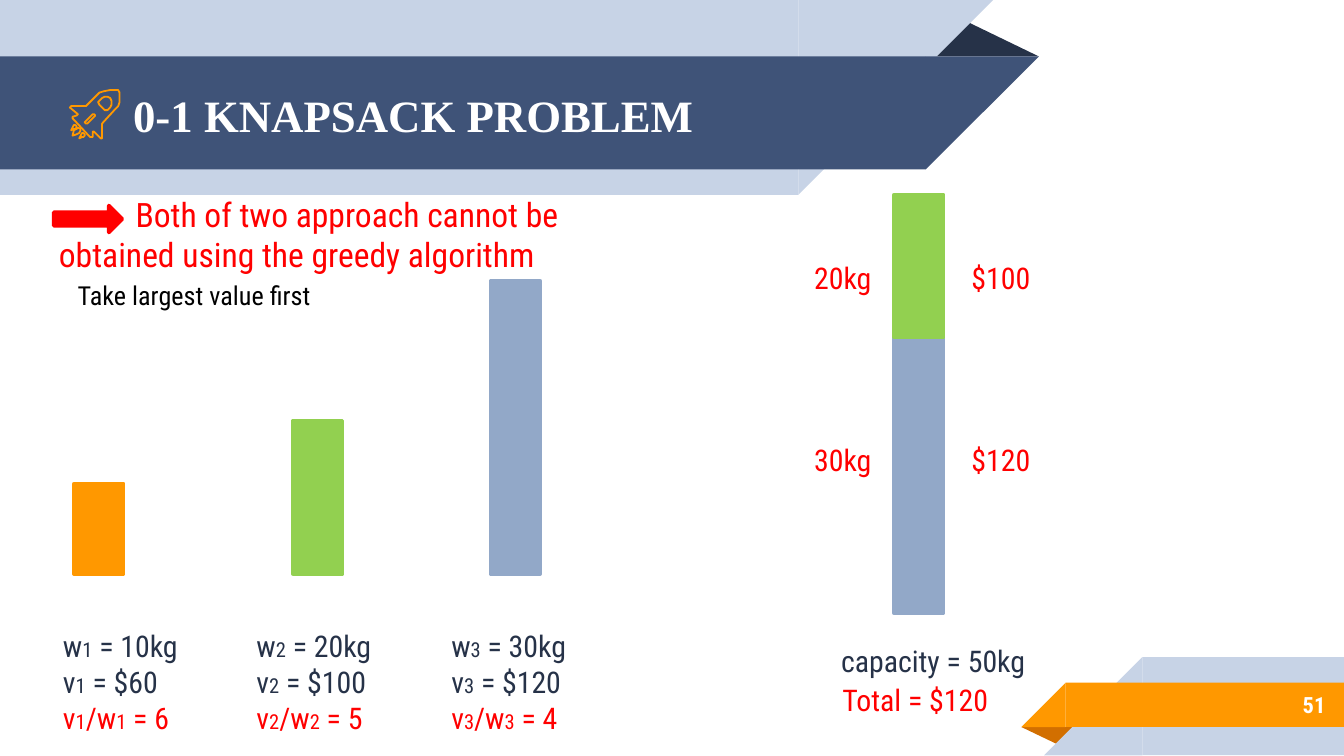
from pptx import Presentation
from pptx.dml.color import RGBColor
from pptx.enum import shapes, text
from pptx.util import Inches, Pt

COLORS = {
    "navy": "3F5378", "dark": "263248", "pale": "C7D3E6", "blue": "92A8C8",
    "orange": "FF9800", "rust": "D26F00", "green": "92D050", "red": "FF0000",
    "white": "FFFFFF", "black": "000000",
}
BODY_FONT = "Roboto Condensed"
SHAPE = shapes.MSO_SHAPE
BAR_WIDTH = 0.37
BASELINE = 4.27

# Rocket outlines, in hundredths of an inch on the slide
ROCKET = [
    [(76, 102), (76, 92), (86, 81), (88, 79), (89, 76), (89, 69), (88, 67),
     (82, 67), (77, 68), (74, 69), (64, 79), (53, 79), (52, 80), (58, 85),
     (57, 86), (54, 87), (54, 88), (67, 102), (69, 102), (69, 98), (70, 98),
     (75, 103), (76, 103)],
    [(65, 92), (64, 92), (63, 91), (64, 90), (69, 85), (70, 85), (71, 86),
     (70, 87)],
    [(80, 82), (78, 82), (74, 78), (73, 76.5), (74, 75), (76, 73), (78, 72),
     (80, 72), (82, 73), (83, 75), (83, 78), (82, 80)],
]
# Flame outline on a unit square, and the left, top, size of each flame
FLAME = [(1, 0.25), (0.7, 0), (0.45, 0.1), (0.2, 0.4), (0, 1), (0.5, 0.8),
         (0.85, 0.65), (1, 0.4)]
FLAMES = [(54, 95, 6), (59, 99, 4), (53, 93, 4)]


def rgb(name):
    return RGBColor.from_string(COLORS[name])


def add_shape(s, kind, box, color, line=None, flip=None, adj=None):
    sp = s.shapes.add_shape(kind, *map(Inches, box))
    sp.shadow.inherit = False
    sp.fill.solid()
    sp.fill.fore_color.rgb = rgb(color)
    if line:
        sp.line.color.rgb = rgb(color)
        sp.line.width = Pt(line)
    else:
        sp.line.fill.background()
    if flip:
        sp._element.spPr.xfrm.set(flip, "1")
    if adj is not None:
        sp.adjustments[0] = adj
    return sp


def add_bar(s, left, top, bottom, color):
    add_shape(s, SHAPE.RECTANGLE, (left, top, BAR_WIDTH, bottom - top), color, 2)


def add_run(p, words, size, color, **formats):
    r = p.add_run()
    r.text = words
    values = {"name": BODY_FONT, "size": Pt(size), **formats}
    for key, value in values.items():
        setattr(r.font, key, value)
    r.font.color.rgb = rgb(color)


def add_text(s, box, words, size=16, color="red", wrap=False):
    tf = s.shapes.add_textbox(*map(Inches, box)).text_frame
    tf.word_wrap = wrap
    if words:
        add_run(tf.paragraphs[0], words, size, color)
    return tf


def add_outline(s, contours):
    """Draw closed contours, in hundredths of an inch, as one unfilled shape."""
    first, *others = contours
    builder = s.shapes.build_freeform(*first[0], scale=Inches(0.01))
    builder.add_line_segments(first[1:], close=True)
    for points in others:
        builder.move_to(*points[0])
        builder.add_line_segments(points[1:], close=True)
    sp = builder.convert_to_shape()
    sp.shadow.inherit = False
    sp.fill.background()
    sp.line.color.rgb = rgb("orange")
    sp.line.width = Pt(0.96)


def add_rocket(s):
    add_outline(s, ROCKET)
    for left, top, size in FLAMES:
        add_outline(s, [[(left + x * size, top + y * size) for x, y in FLAME]])


def add_ribbons(s):
    add_shape(s, SHAPE.ISOSCELES_TRIANGLE, (6.88, 0.14, 0.85, 0.28), "dark", adj=0.32)
    for top, width, height, color in [(0, 5.94, 1.45, "pale"), (0.42, 6.89, 0.84, "navy")]:
        add_shape(s, SHAPE.RECTANGLE, (0, top, width, height), color)
        add_shape(s, SHAPE.RIGHT_TRIANGLE, (width, top, height, height), color, flip="flipV")

    fold = add_shape(s, SHAPE.ISOSCELES_TRIANGLE, (7.6, 5.41, 0.43, 0.14), "rust", adj=0.32)
    fold.rotation = 180
    for left, top, height, color in [(8.5, 4.89, 0.73, "pale"), (7.93, 5.08, 0.33, "orange")]:
        add_shape(s, SHAPE.RECTANGLE, (left, top, 10 - left, height), color)
        add_shape(s, SHAPE.RIGHT_TRIANGLE, (left - height, top, height, height), color,
                  flip="flipH")


def add_title(s, words):
    title = s.shapes.title
    title.left, title.top, title.width, title.height = map(Inches, (0.89, 0.43, 6.19, 0.84))
    tf = title.text_frame
    tf.auto_size = text.MSO_AUTO_SIZE.NONE
    tf.vertical_anchor = text.MSO_ANCHOR.MIDDLE
    p = tf.paragraphs[0]
    p.alignment = text.PP_ALIGN.LEFT
    add_run(p, words, 24, "white", name="Times New Roman", bold=True)
    # Bring the title in front of the ribbons
    s.shapes._spTree.append(title._element)


def add_page_number(s, number):
    tf = add_text(s, (8.33, 5.07, 1.63, 0.35), "", wrap=True)
    tf.vertical_anchor = text.MSO_ANCHOR.MIDDLE
    p = tf.paragraphs[0]
    p.alignment = text.PP_ALIGN.RIGHT
    add_run(p, str(number), 12, "white", bold=True)


def add_item(s, number, weight, value, ratio, bar_left, bar_top, text_left, color):
    """Draw an item's bar and its facts, with the item number in small type."""
    add_bar(s, bar_left, bar_top, BASELINE, color)
    tf = add_text(s, (text_left, 4.62, 1.1, 0.91), "")
    n = str(number)
    facts = [
        ("dark", ["w", n, f" = {weight}kg"]),
        ("dark", ["v", n, f" = ${value}"]),
        ("red", ["v", n, "/w", n, f" = {ratio}"]),
    ]
    for i, (ink, parts) in enumerate(facts):
        p = tf.add_paragraph() if i else tf.paragraphs[0]
        for part in parts:
            add_run(p, part, 11 if part == n else 16, ink)


def add_knapsack(s):
    add_bar(s, 6.65, 2.51, 4.56, "blue")
    add_bar(s, 6.65, 1.45, 2.51, "green")
    for top, weight, value in [(1.88, "20kg", "$100"), (3.24, "30kg", "$120")]:
        add_text(s, (5.96, top, 0.63, 0.37), weight)
        add_text(s, (7.13, top, 0.64, 0.37), value)
    add_text(s, (6.16, 4.73, 1.59, 0.37), "capacity = 50kg", color="dark")
    add_text(s, (6.17, 5.02, 1.31, 0.37), "Total = $120")


def add_message(s):
    tf = add_text(s, (0.34, 1.39, 4.23, 0.71),
                  "Both of two approach cannot be obtained using the greedy algorithm",
                  size=18, wrap=True)
    # First-line indent leaves room for the arrow
    tf.paragraphs[0]._p.get_or_add_pPr().set("indent", str(Inches(0.57)))
    add_shape(s, SHAPE.RIGHT_ARROW, (0.4, 1.53, 0.51, 0.2), "red", 2)
    add_text(s, (0.48, 2.03, 2.77, 0.35), "Take largest value first", 14, "black", wrap=True)


def main():
    prs = Presentation()
    prs.slide_width = Inches(10)
    prs.slide_height = prs.slide_width * 9 // 16
    s = prs.slides.add_slide(prs.slide_layouts[5])
    add_ribbons(s)
    add_title(s, "0-1 KNAPSACK PROBLEM")
    add_page_number(s, 51)
    add_rocket(s)
    add_message(s)
    add_item(s, 1, 10, 60, 6, 0.55, 3.6, 0.37, "orange")
    add_item(s, 2, 20, 100, 5, 2.18, 3.13, 1.81, "green")
    add_item(s, 3, 30, 120, 4, 3.65, 2.09, 3.26, "blue")
    add_knapsack(s)
    prs.save("out.pptx")


if __name__ == "__main__":
    main()
